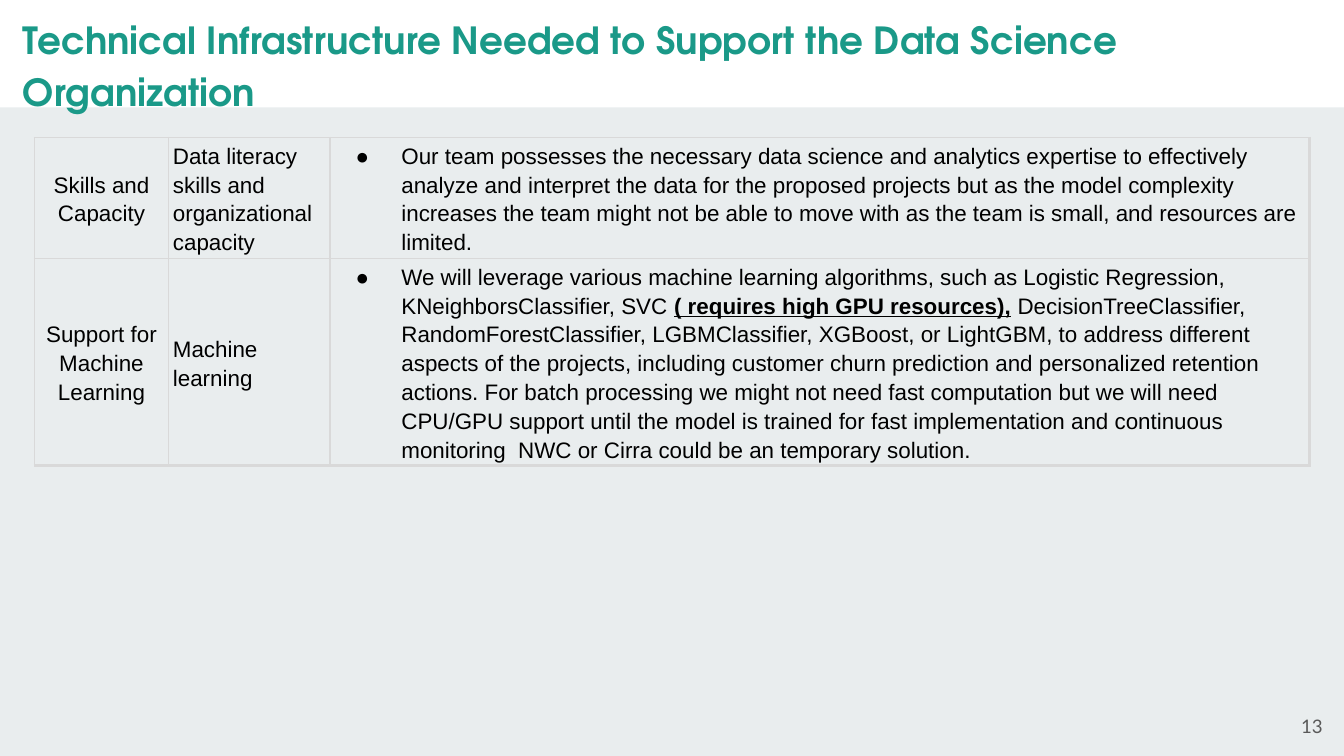
import dataclasses

import lxml.etree
import pptx
import pptx.dml.color
import pptx.enum.shapes
import pptx.enum.text
import pptx.oxml.ns
import pptx.util

Pt = pptx.util.Pt
ALIGN = pptx.enum.text.PP_ALIGN
ANCHOR = pptx.enum.text.MSO_ANCHOR
COLORS = {
    "background": "E9EDEE",
    "band": "FFFFFF",
    "title": "1A9988",
    "text": "000000",
    "number": "595959",
    "border": "D9D9D9",
}
THIN, THICK = 0.75, 2.25
COLUMN_WIDTHS = [72, 86.4, 152.6] + [68.4] * 5 + [30.2]
ROW_HEIGHTS = [53.3, 92.9]
DETAIL_COLUMN = 2


@dataclasses.dataclass(frozen=True)
class Requirement:
    area: str
    topic: str
    details: list[tuple[str, bool]]


REQUIREMENTS = [
    Requirement(
        "Skills and Capacity",
        "Data literacy skills and organizational capacity",
        [(
            "Our team possesses the necessary data science and analytics expertise to "
            "effectively analyze and interpret the data for the proposed projects but as "
            "the model complexity increases the team might not be able to move with as "
            "the team is small, and resources are limited.", False)],
    ),
    Requirement(
        "Support for Machine Learning",
        "Machine learning",
        [
            ("We will leverage various machine learning algorithms, such as Logistic "
             "Regression, KNeighborsClassifier, SVC ", False),
            ("( requires high GPU resources),", True),
            (" DecisionTreeClassifier, RandomForestClassifier, LGBMClassifier, XGBoost, "
             "or LightGBM, to address different aspects of the projects, including "
             "customer churn prediction and personalized retention actions. For batch "
             "processing we might not need fast computation but we will need CPU/GPU "
             "support until the model is trained for fast implementation and continuous "
             "monitoring  NWC or Cirra could be an temporary solution.", False),
        ],
    ),
]


def rgb(name: str) -> pptx.dml.color.RGBColor:
    return pptx.dml.color.RGBColor.from_string(COLORS[name])


def add_xml(parent, tag: str, **attributes: str):
    return lxml.etree.SubElement(parent, pptx.oxml.ns.qn(tag), attributes)


def add_text(p, text: str, *, size=12, font="Arial", color="text", bold=False,
             underline=False, align=ALIGN.LEFT, spacing=1.15) -> None:
    p.alignment = align
    p.line_spacing = spacing
    r = p.add_run()
    r.text = text
    r.font.size = Pt(size)
    r.font.name = font
    r.font.color.rgb = rgb(color)
    r.font.bold = bold
    r.font.underline = underline


def add_bullet(p) -> None:
    pPr = p._p.get_or_add_pPr()
    pPr.set("marL", str(Pt(36)))
    pPr.set("indent", str(Pt(-24.5)))
    add_xml(add_xml(pPr, "a:buClr"), "a:srgbClr", val=COLORS["text"])
    add_xml(pPr, "a:buFont", typeface="Arial")
    add_xml(pPr, "a:buChar", char="●")


def format_cell(cell, right: float, bottom: float) -> None:
    cell.vertical_anchor = ANCHOR.MIDDLE
    cell.margin_left = cell.margin_right = Pt(2.25)
    cell.margin_top = cell.margin_bottom = Pt(1.5)
    tcPr = cell._tc.get_or_add_tcPr()
    for side, width in (("L", THIN), ("R", right), ("T", THIN), ("B", bottom)):
        ln = add_xml(tcPr, f"a:ln{side}", w=str(Pt(width)))
        add_xml(add_xml(ln, "a:solidFill"), "a:srgbClr", val=COLORS["border"])
    cell.fill.background()


def set_frame(tf, anchor) -> None:
    tf.word_wrap = True
    tf.auto_size = pptx.enum.text.MSO_AUTO_SIZE.NONE
    tf.vertical_anchor = anchor
    tf.margin_left = tf.margin_right = tf.margin_top = tf.margin_bottom = Pt(7.2)


def add_title(s) -> None:
    title = s.shapes.title
    title.left, title.top, title.width, title.height = Pt(5), Pt(-1.4), Pt(607.7), Pt(26.6)
    set_frame(title.text_frame, ANCHOR.TOP)
    add_text(title.text_frame.paragraphs[0],
             "Technical Infrastructure Needed to Support the Data Science Organization",
             size=20, font="TeX Gyre Adventor", color="title", bold=True)


def add_band(s, width: int) -> None:
    sp = s.shapes.add_shape(pptx.enum.shapes.MSO_SHAPE.RECTANGLE, 0, 0, width, Pt(57.6))
    sp.shadow.inherit = False
    sp.fill.solid()
    sp.fill.fore_color.rgb = rgb("band")
    sp.line.fill.background()
    s.shapes.title.element.addprevious(sp.element)


def add_requirements(s, requirements: list[Requirement]) -> None:
    table = s.shapes.add_table(
        len(requirements), len(COLUMN_WIDTHS), Pt(18.4), Pt(73.6),
        Pt(sum(COLUMN_WIDTHS)), Pt(sum(ROW_HEIGHTS))).table
    table.first_row = table.horz_banding = False
    for column, width in zip(table.columns, COLUMN_WIDTHS):
        column.width = Pt(width)
    last_row, last_column = len(requirements) - 1, len(COLUMN_WIDTHS) - 1
    for i, requirement in enumerate(requirements):
        table.rows[i].height = Pt(ROW_HEIGHTS[i])
        bottom = THICK if i == last_row else THIN
        for j in range(len(COLUMN_WIDTHS)):
            right = THICK if j in (DETAIL_COLUMN, last_column) else THIN
            format_cell(table.cell(i, j), right, bottom)
        detail = table.cell(i, DETAIL_COLUMN)
        detail.merge(table.cell(i, last_column))
        area, topic, p = (table.cell(i, j).text_frame.paragraphs[0] for j in range(3))
        add_text(area, requirement.area, align=ALIGN.CENTER)
        add_text(topic, requirement.topic)
        for text, strong in requirement.details:
            add_text(p, text, bold=strong, underline=strong)
        add_bullet(p)


def add_page_number(s, number: int) -> None:
    box = s.shapes.add_textbox(Pt(672.5), Pt(373.7), Pt(43.2), Pt(31))
    set_frame(box.text_frame, ANCHOR.MIDDLE)
    add_text(box.text_frame.paragraphs[0], str(number), size=10, font="Lato",
             color="number", align=ALIGN.RIGHT, spacing=1.0)


def main() -> None:
    prs = pptx.Presentation()
    prs.slide_width, prs.slide_height = Pt(720), Pt(405)
    s = prs.slides.add_slide(prs.slide_layouts.get_by_name("Title Only"))
    s.background.fill.solid()
    s.background.fill.fore_color.rgb = rgb("background")
    add_title(s)
    add_band(s, prs.slide_width)
    add_requirements(s, REQUIREMENTS)
    add_page_number(s, 13)
    prs.save("out.pptx")


if __name__ == "__main__":
    main()
